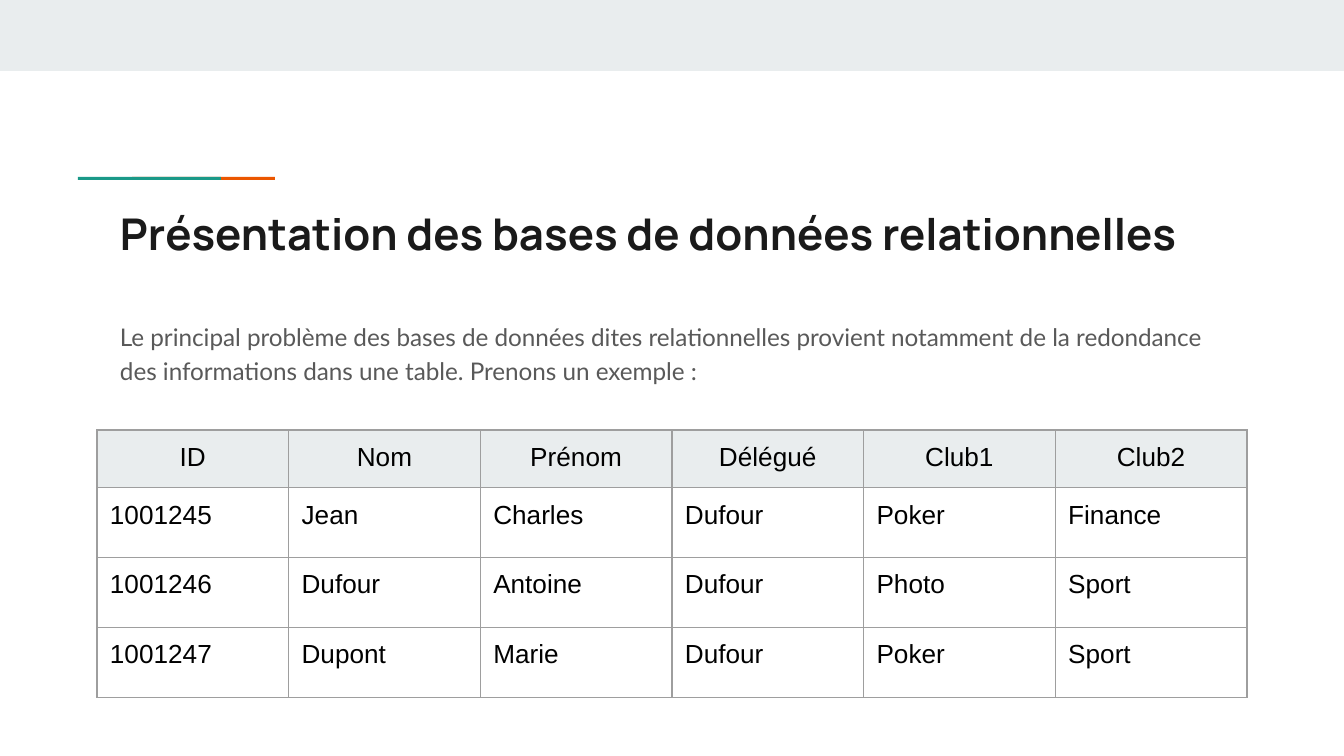
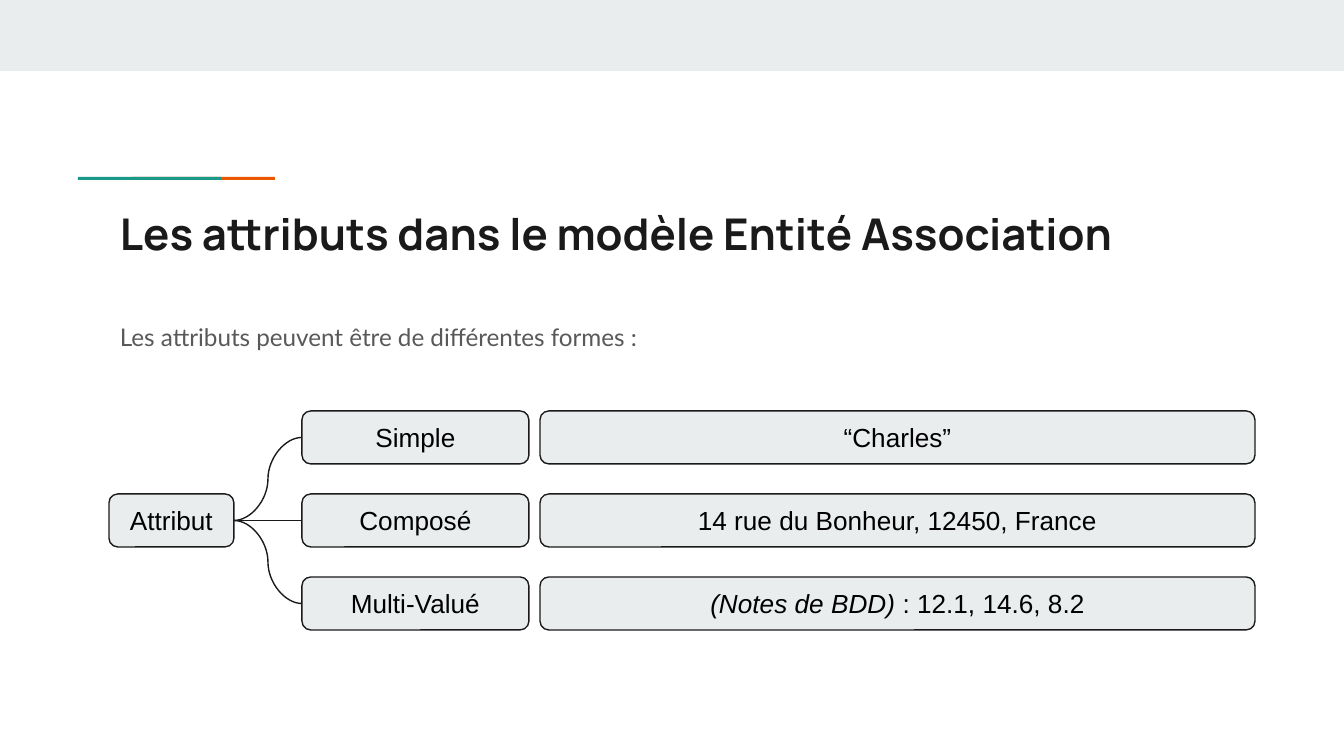
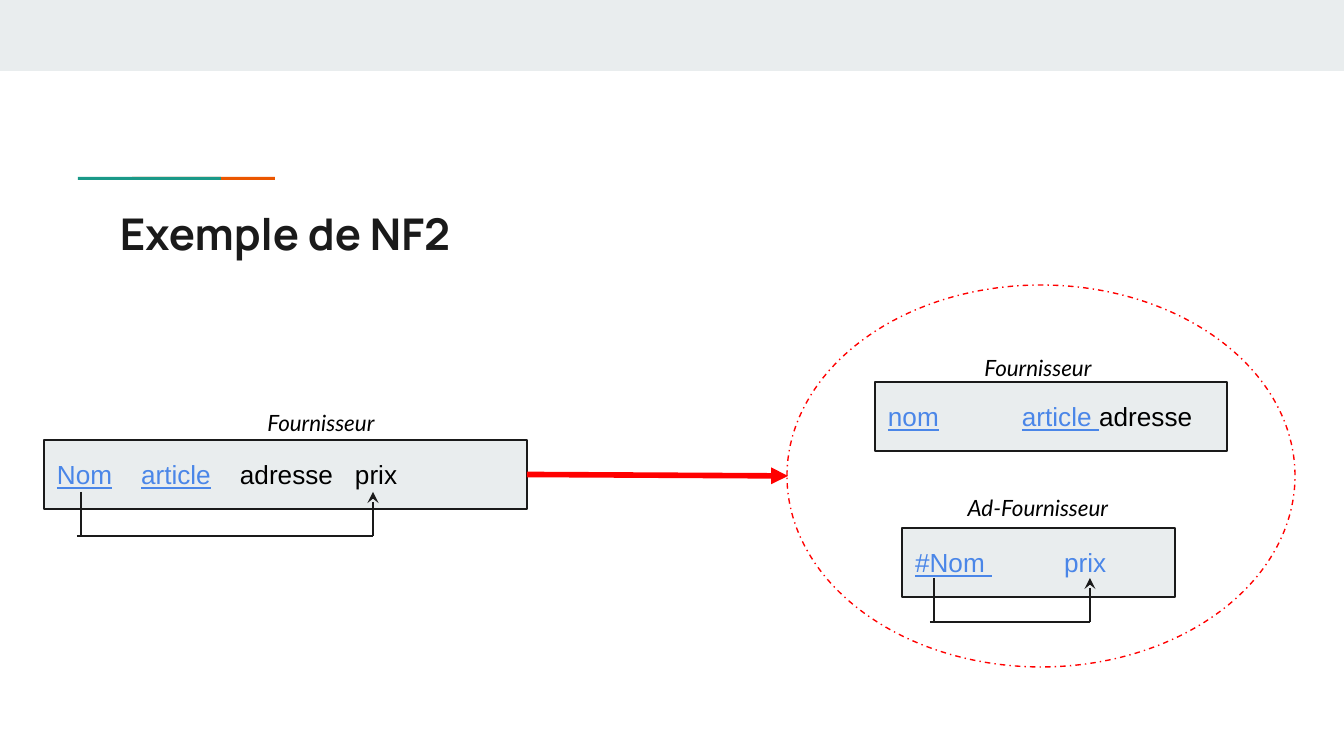
"""Build three slides on relational databases."""
from dataclasses import dataclass
from typing import Any

import lxml.etree
import pptx
import pptx.dml.color
import pptx.enum.dml
import pptx.enum.shapes
import pptx.enum.text
import pptx.oxml
import pptx.oxml.ns
import pptx.util

EMU_PER_PX = 914400 / 134.4
INSET = 13
COLORS = {
    "band": "E9EDEE",
    "orange": "EB5600",
    "teal": "1A9988",
    "ink": "1A1A1A",
    "body": "595959",
    "black": "000000",
    "key": "4A86E8",
    "grid": "9E9E9E",
    "red": "FF0000",
}
SHAPES = pptx.enum.shapes.MSO_SHAPE
CONNECTORS = pptx.enum.shapes.MSO_CONNECTOR
CENTER = pptx.enum.text.PP_ALIGN.CENTER
LEFT = pptx.enum.text.PP_ALIGN.LEFT
MIDDLE = pptx.enum.text.MSO_ANCHOR.MIDDLE
TOP = pptx.enum.text.MSO_ANCHOR.TOP
LEFT_SIDE, RIGHT_SIDE = 1, 3


@dataclass(frozen=True)
class Box:
    """Position and size in px."""

    left: int
    top: int
    width: int
    height: int


@dataclass(frozen=True)
class TextStyle:
    """Look shared by the runs of a paragraph."""

    font: str
    size: float
    color: str
    bold: bool = False
    italic: bool = False
    align: Any = LEFT
    anchor: Any = TOP


@dataclass(frozen=True)
class Piece:
    """Part of a paragraph with its own look."""

    text: str
    color: str = ""
    underline: bool = False
    italic: bool = False


@dataclass(frozen=True)
class Form:
    """A form of attribute and its example."""

    name: str
    example: tuple[Piece, ...]


@dataclass(frozen=True)
class Relation:
    """A relation, its attributes and the dependency drawn below it."""

    name: str
    name_box: Box
    box: Box
    attributes: tuple[Piece, ...]
    tabs: tuple[int, ...]


@dataclass(frozen=True)
class Dependency:
    """Bracket running from one attribute up to another."""

    source: int
    target: int
    top: int


TITLE = TextStyle("Manrope", 23.4, "ink", bold=True)
BODY = TextStyle("Lato", 13, "body")
LABEL = TextStyle("Lato", 12, "black", italic=True, align=CENTER)
NODE = TextStyle("Arial", 14, "black", align=CENTER, anchor=MIDDLE)
ATTRIBUTES = TextStyle("Arial", 14, "black", anchor=MIDDLE)
HEADER = TextStyle("Arial", 14, "black", align=CENTER)
CELL = TextStyle("Arial", 14, "black")

MEMBERS = (
    ("ID", "Nom", "Prénom", "Délégué", "Club1", "Club2"),
    ("1001245", "Jean", "Charles", "Dufour", "Poker", "Finance"),
    ("1001246", "Dufour", "Antoine", "Dufour", "Photo", "Sport"),
    ("1001247", "Dupont", "Marie", "Dufour", "Poker", "Sport"),
)
FORMS = (
    Form("Simple", (Piece("“Charles”"),)),
    Form("Composé", (Piece("14 rue du Bonheur, 12450, France"),)),
    Form("Multi-Valué", (Piece("(Notes de BDD) ", italic=True), Piece(": 12.1, 14.6, 8.2"))),
)
SUPPLIER = Relation(
    "Fournisseur", Box(245, 396, 152, 54), Box(44, 440, 483, 69),
    (Piece("Nom", "key", True), Piece("\t"), Piece("article", "key", True), Piece("\tadresse\tprix")),
    (84, 183, 298),
)
SPLIT_RELATIONS = (
    Relation(
        "Fournisseur", Box(962, 341, 152, 54), Box(875, 382, 352, 69),
        (Piece("nom", "key", True), Piece("\t"), Piece("article ", "key", True), Piece("adresse")),
        (134,),
    ),
    Relation(
        "Ad-Fournisseur", Box(950, 481, 176, 54), Box(902, 528, 273, 69),
        (Piece("#Nom ", "key", True), Piece("\tprix", "key")),
        (149,),
    ),
)
DEPENDENCIES = (Dependency(81, 373, 492), Dependency(934, 1090, 578))


def px(length: int) -> int:
    """Turn px into EMU."""
    return round(length * EMU_PER_PX)


def rgb(color: str) -> pptx.dml.color.RGBColor:
    """Look up a named colour."""
    return pptx.dml.color.RGBColor.from_string(COLORS[color])


def place(box: Box) -> tuple[int, int, int, int]:
    """Give the box in EMU."""
    return px(box.left), px(box.top), px(box.width), px(box.height)


def write(frame: Any, pieces: tuple[Piece, ...], style: TextStyle) -> Any:
    """Fill a text frame with one paragraph and return it."""
    frame.word_wrap = True
    frame.vertical_anchor = style.anchor
    frame.margin_left = frame.margin_right = px(INSET)
    frame.margin_top = frame.margin_bottom = px(INSET)
    paragraph = frame.paragraphs[0]
    paragraph.alignment = style.align
    for piece in pieces:
        run = paragraph.add_run()
        run.text = piece.text
        run.font.name = style.font
        run.font.size = pptx.util.Pt(style.size)
        run.font.bold = style.bold
        run.font.italic = style.italic or piece.italic
        run.font.underline = piece.underline
        run.font.color.rgb = rgb(piece.color or style.color)
    return paragraph


def add_text(slide: Any, box: Box, text: str, style: TextStyle) -> Any:
    """Add a text box and return its paragraph."""
    return write(slide.shapes.add_textbox(*place(box)).text_frame, (Piece(text),), style)


def add_body(slide: Any, text: str, height: int) -> None:
    """Add the introduction below the title."""
    paragraph = add_text(slide, Box(107, 305, 1130, height), text, BODY)
    paragraph.line_spacing = 1.15
    paragraph.space_after = pptx.util.Pt(12)


def add_shape(slide: Any, kind: Any, box: Box, fill: str = "", line: str = "") -> Any:
    """Add a preset shape without shadow."""
    shape = slide.shapes.add_shape(kind, *place(box))
    shape.shadow.inherit = False
    if fill:
        shape.fill.solid()
        shape.fill.fore_color.rgb = rgb(fill)
    else:
        shape.fill.background()
    if line:
        shape.line.color.rgb = rgb(line)
        shape.line.width = pptx.util.Pt(0.75)
    else:
        shape.line.fill.background()
    return shape


def add_line(
    slide: Any, start: tuple[int, int], end: tuple[int, int], color: str = "ink",
    width: float = 0.75, kind: Any = CONNECTORS.STRAIGHT, head: str = "", tail: str = "",
) -> Any:
    """Add a connector with optional arrowheads at its start and end."""
    connector = slide.shapes.add_connector(kind, *map(px, start + end))
    connector.line.color.rgb = rgb(color)
    connector.line.width = pptx.util.Pt(width)
    outline = connector.line._get_or_add_ln()
    for tag, arrow in (("a:headEnd", head), ("a:tailEnd", tail)):
        if arrow:
            lxml.etree.SubElement(outline, pptx.oxml.ns.qn(tag), type=arrow)
    lxml.etree.SubElement(connector._element.spPr, pptx.oxml.ns.qn("a:effectLst"))
    return connector


def add_slide(deck: Any, title: str) -> Any:
    """Add a slide with its band, accent line and title."""
    slide = deck.slides.add_slide(deck.slide_layouts[6])
    add_shape(slide, SHAPES.RECTANGLE, Box(0, 0, 1344, 71), "band")
    for left, color in ((132, "orange"), (78, "teal")):
        add_shape(slide, SHAPES.RECTANGLE, Box(left, 177, 143, 3), color)
    add_text(slide, Box(107, 194, 1130, 79), title, TITLE)
    return slide


def add_borders(cell: Any) -> None:
    """Draw the four borders of a cell."""
    properties = cell._tc.get_or_add_tcPr()
    for side in "LRTB":
        border = lxml.etree.SubElement(
            properties, pptx.oxml.ns.qn(f"a:ln{side}"), w=str(pptx.util.Pt(0.75)))
        fill = lxml.etree.SubElement(border, pptx.oxml.ns.qn("a:solidFill"))
        lxml.etree.SubElement(fill, pptx.oxml.ns.qn("a:srgbClr"), val=COLORS["grid"])


def add_members(slide: Any) -> None:
    """Add the table of club members."""
    box = Box(97, 430, 1150, 266)
    table = slide.shapes.add_table(len(MEMBERS), len(MEMBERS[0]), *place(box)).table
    table.first_row = table.horz_banding = False
    for column in table.columns:
        column.width = px(box.width) // len(MEMBERS[0])
    for index, member in enumerate(MEMBERS):
        table.rows[index].height = px(70 if index else 56)
        for position, value in enumerate(member):
            cell = table.cell(index, position)
            write(cell.text_frame, (Piece(value),), CELL if index else HEADER)
            cell.margin_left = cell.margin_right = px(INSET)
            cell.margin_top = cell.margin_bottom = px(INSET)
            add_borders(cell)
            if index:
                cell.fill.background()
            else:
                cell.fill.solid()
                cell.fill.fore_color.rgb = rgb("band")


def add_node(slide: Any, box: Box, pieces: tuple[Piece, ...]) -> Any:
    """Add a rounded node of the attribute tree."""
    node = add_shape(slide, SHAPES.ROUNDED_RECTANGLE, box, "band", "ink")
    write(node.text_frame, pieces, NODE)
    return node


def add_forms(slide: Any) -> None:
    """Add the tree of attribute forms with their examples."""
    attribute = add_node(slide, Box(109, 494, 125, 53), (Piece("Attribut"),))
    for index, form in enumerate(FORMS):
        top = 411 + 83 * index
        name = add_node(slide, Box(302, top, 227, 53), (Piece(form.name),))
        add_node(slide, Box(540, top, 715, 53), form.example)
        branch = add_line(slide, (234, 520), (302, top + 26), kind=CONNECTORS.CURVE)
        branch.begin_connect(attribute, RIGHT_SIDE)
        branch.end_connect(name, LEFT_SIDE)


def add_relation(slide: Any, relation: Relation) -> Any:
    """Add a relation with its name above and return its rectangle."""
    rectangle = add_shape(slide, SHAPES.RECTANGLE, relation.box, "band", "ink")
    paragraph = write(rectangle.text_frame, relation.attributes, ATTRIBUTES)
    stops = lxml.etree.SubElement(paragraph._p.get_or_add_pPr(), pptx.oxml.ns.qn("a:tabLst"))
    for tab in relation.tabs:
        lxml.etree.SubElement(stops, pptx.oxml.ns.qn("a:tab"), pos=str(px(tab)), algn="l")
    add_text(slide, relation.name_box, relation.name, LABEL)
    return rectangle


def add_dependency(slide: Any, dependency: Dependency) -> None:
    """Add the bracket of a functional dependency."""
    source, target, top = dependency.source, dependency.target, dependency.top
    base = top + 44
    add_line(slide, (source, top), (source, base))
    add_line(slide, (source - 4, base), (target, base))
    add_line(slide, (target, top), (target, base), head="stealth")


def add_normalisation(slide: Any) -> None:
    """Add the relation and the two relations it is split into."""
    supplier = add_relation(slide, SUPPLIER)
    for relation in SPLIT_RELATIONS:
        add_relation(slide, relation)
    for dependency in DEPENDENCIES:
        add_dependency(slide, dependency)
    split = add_line(slide, (527, 475), (788, 476), "red", 3, tail="triangle")
    split.begin_connect(supplier, RIGHT_SIDE)
    result = add_shape(slide, SHAPES.OVAL, Box(787, 285, 508, 382), line="red")
    result.line.dash_style = pptx.enum.dml.MSO_LINE.DASH_DOT


def main() -> None:
    """Build and save the deck."""
    deck = pptx.Presentation()
    deck.slide_width, deck.slide_height = px(1344), px(756)
    problem = add_slide(deck, "Présentation des bases de données relationnelles")
    add_body(
        problem,
        "Le principal problème des bases de données dites relationnelles provient notamment "
        "de la redondance des informations dans une table. Prenons un exemple :",
        99,
    )
    add_members(problem)
    attributes = add_slide(deck, "Les attributs dans le modèle Entité Association")
    add_body(attributes, "Les attributs peuvent être de différentes formes :", 59)
    add_forms(attributes)
    add_normalisation(add_slide(deck, "Exemple de NF2"))
    deck.save("out.pptx")


if __name__ == "__main__":
    main()
